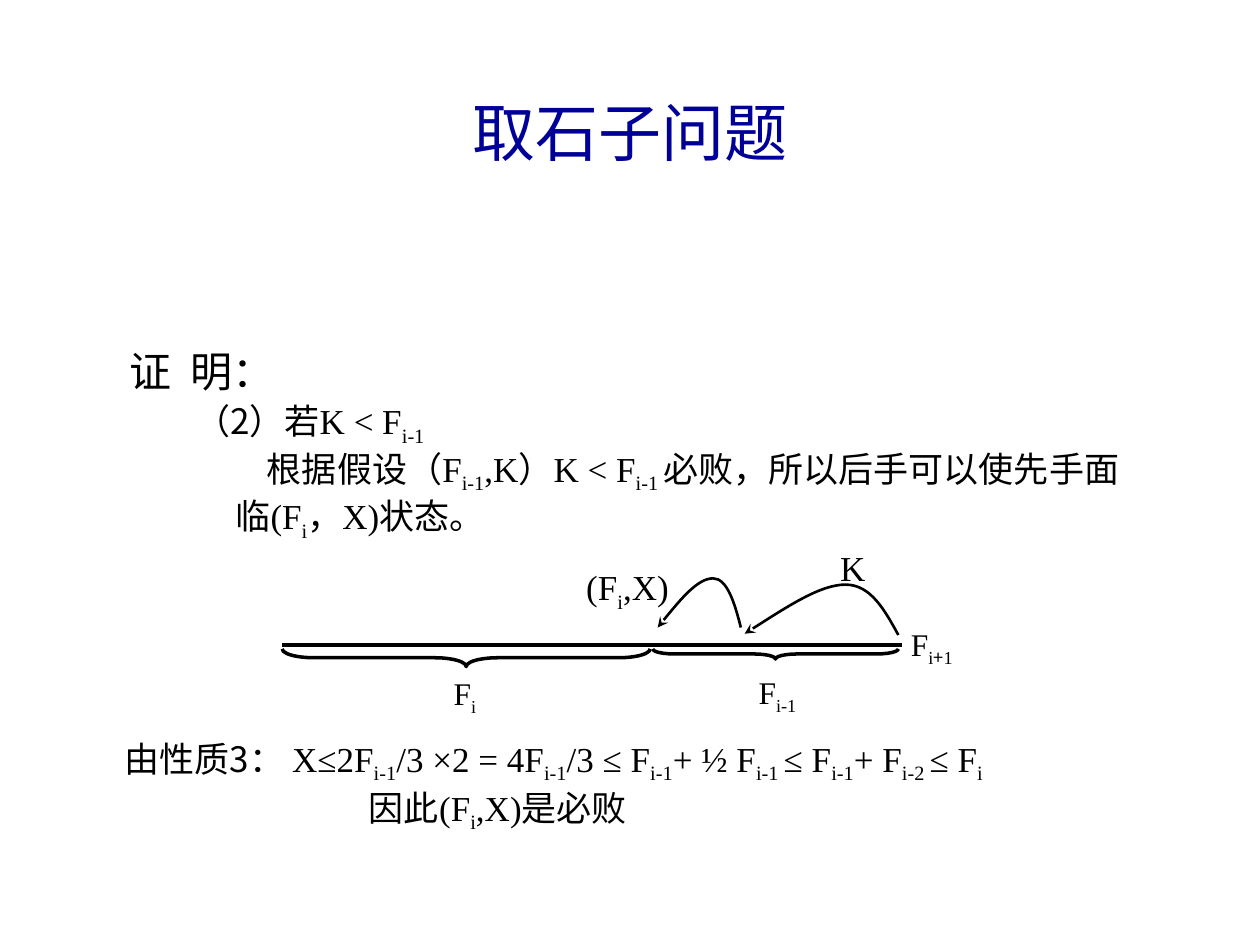
from pptx import Presentation
from pptx.dml.color import RGBColor
from pptx.enum.shapes import MSO_CONNECTOR, MSO_SHAPE
from pptx.enum.text import MSO_ANCHOR, MSO_AUTO_SIZE, PP_ALIGN
from pptx.oxml.ns import qn
from pptx.util import Inches, Pt
from lxml import etree

CENTER, LEFT = PP_ALIGN.CENTER, PP_ALIGN.LEFT
MIDDLE, TOP = MSO_ANCHOR.MIDDLE, MSO_ANCHOR.TOP
GROW, FIXED = MSO_AUTO_SIZE.SHAPE_TO_FIT_TEXT, MSO_AUTO_SIZE.NONE
LEFT_BRACE, STRAIGHT = MSO_SHAPE.LEFT_BRACE, MSO_CONNECTOR.STRAIGHT

COLORS = {"title": "000099", "ink": "000000"}
CJK, TIMES, ARIAL = "Noto Sans CJK SC", "Times New Roman", "Arial"


class Deck:
    def __init__(self, prs):
        self.slide = prs.slides.add_slide(prs.slide_layouts[6])
        self.shapes = self.slide.shapes

    def run(self, p, text, font, size, color, sub=False, spacing=None):
        r = p.add_run()
        r.text = text
        for name, value in {"name": font, "size": Pt(size)}.items():
            setattr(r.font, name, value)
        r.font.color.rgb = RGBColor.from_string(COLORS[color])
        rPr = r._r.get_or_add_rPr()
        etree.SubElement(rPr, qn("a:ea"), typeface=CJK)
        if sub:
            rPr.set("baseline", "-25000")
        if spacing:
            rPr.set("spc", str(spacing))

    def text(self, box, parts, size=20, color="ink", align=LEFT,
             anchor=TOP, fit=GROW, margin=0, first=0):
        sp = self.shapes.add_textbox(*map(Inches, box))
        tf = sp.text_frame
        layout = {"word_wrap": True, "auto_size": fit, "vertical_anchor": anchor}
        for name, value in layout.items():
            setattr(tf, name, value)
        p = tf.paragraphs[0]
        p.alignment = align
        pPr = p._p.get_or_add_pPr()
        pPr.set("marL", str(Inches(margin)))
        pPr.set("indent", str(Inches(first)))
        for font, marked, *spacing in parts:
            for i, piece in enumerate(marked.split("~")):
                if piece:
                    self.run(p, piece, font, size, color, i % 2 == 1, *spacing)

    def stroke(self, sp, width):
        sp.line.color.rgb = RGBColor.from_string(COLORS["ink"])
        sp.line.width = Pt(width)

    def line(self, x1, y1, x2, y2, width):
        sp = self.shapes.add_connector(STRAIGHT, *map(Inches, (x1, y1, x2, y2)))
        self.stroke(sp, width)
        etree.SubElement(sp._element.spPr, qn("a:effectLst"))

    def brace(self, x, y, length, depth, curl):
        left = x + (length - depth) / 2
        top = y - (length - depth) / 2
        sp = self.shapes.add_shape(LEFT_BRACE, *map(Inches, (left, top, depth, length)))
        sp.rotation = 270
        sp.adjustments[0] = curl / depth
        sp.shadow.inherit = False
        sp.fill.background()
        self.stroke(sp, 2)

    def curved_arrow(self, points):
        start, *rest = [(Inches(x), Inches(y)) for x, y in points]
        builder = self.shapes.build_freeform(*start)
        builder.add_line_segments(rest, close=False)
        sp = builder.convert_to_shape()
        path = sp._element.spPr.find(".//" + qn("a:path"))
        segments = path.findall(qn("a:lnTo"))
        for i in range(0, len(segments), 3):
            curve = etree.SubElement(path, qn("a:cubicBezTo"))
            for segment in segments[i:i + 3]:
                curve.append(segment[0])
                path.remove(segment)
        sp.shadow.inherit = False
        sp.fill.background()
        self.stroke(sp, 1.5)
        etree.SubElement(sp.line._get_or_add_ln(), qn("a:tailEnd"), type="stealth")


def main():
    prs = Presentation()
    prs.slide_width, prs.slide_height = Inches(10), Inches(7.5)
    s = Deck(prs)

    s.text((0.33, 0.42, 9.34, 1.25), [(ARIAL, "取石子问题")], size=36,
           color="title", align=CENTER, anchor=MIDDLE, fit=FIXED)
    s.text((0.93, 2.69, 8.58, 0.5),
           [(CJK, "证"), (CJK, " ", 540), (CJK, "明"), (TIMES, "：")], size=24)

    s.brace(5.18, 5.15, 1.95, 0.08, 0.17)
    s.brace(2.24, 5.15, 2.92, 0.14, 0.25)
    s.line(2.24, 5.12, 7.16, 5.12, 2.75)
    labels = [
        ((5.83, 5.29, 0.68, 0.44), [(TIMES, "F~i-1~")]),
        ((3.4, 5.3, 0.58, 0.44), [(TIMES, "F~i~")]),
        ((7.02, 4.91, 0.75, 0.44), [(TIMES, "F~i~"), (CJK, "~+~"), (TIMES, "~1~")]),
    ]
    for box, parts in labels:
        s.text(box, parts, size=18, align=CENTER)

    s.curved_arrow([(7.13, 5.04), (7.02, 4.84), (6.91, 4.64), (6.71, 4.64),
                    (6.51, 4.64), (6.21, 4.84), (5.91, 5.03)])
    s.text((6.57, 4.29, 0.21, 0.44), [(TIMES, "K")], align=CENTER)

    s.text((0.83, 3.12, 6, 0.48), [(CJK, "（2）若"), (TIMES, "K < F~i-1~")], margin=0.62)
    s.text((1.77, 3.5, 7.42, 0.86),
           [(CJK, "根据假设（"), (TIMES, "F~i-1~,K"), (CJK, "）"),
            (TIMES, "K < F~i-1 ~必败，所以后手可以使先手面临(F~i~，X)状态。")], first=0.25)

    s.curved_arrow([(5.88, 4.98), (5.83, 4.78), (5.77, 4.59), (5.66, 4.59),
                    (5.54, 4.59), (5.38, 4.78), (5.22, 4.98)])
    s.text((4.52, 4.44, 0.92, 0.48), [(TIMES, "(F~i~,X)")], align=CENTER)

    s.text((0.83, 5.8, 8.82, 0.48),
           [(CJK, "由性质3： "),
            (TIMES, "X≤2F~i-1~/3 ×2 = 4F~i-1~/3 ≤ F~i-1~+ ½ F~i-1 ~"
                    "≤ F~i-1~+ F~i-2 ~≤ F~i~")], margin=0.06)
    s.text((0.83, 6.19, 6.92, 0.48), [(TIMES, "因此(F~i~,X)是必败")], margin=2)

    prs.save("out.pptx")


if __name__ == "__main__":
    main()
